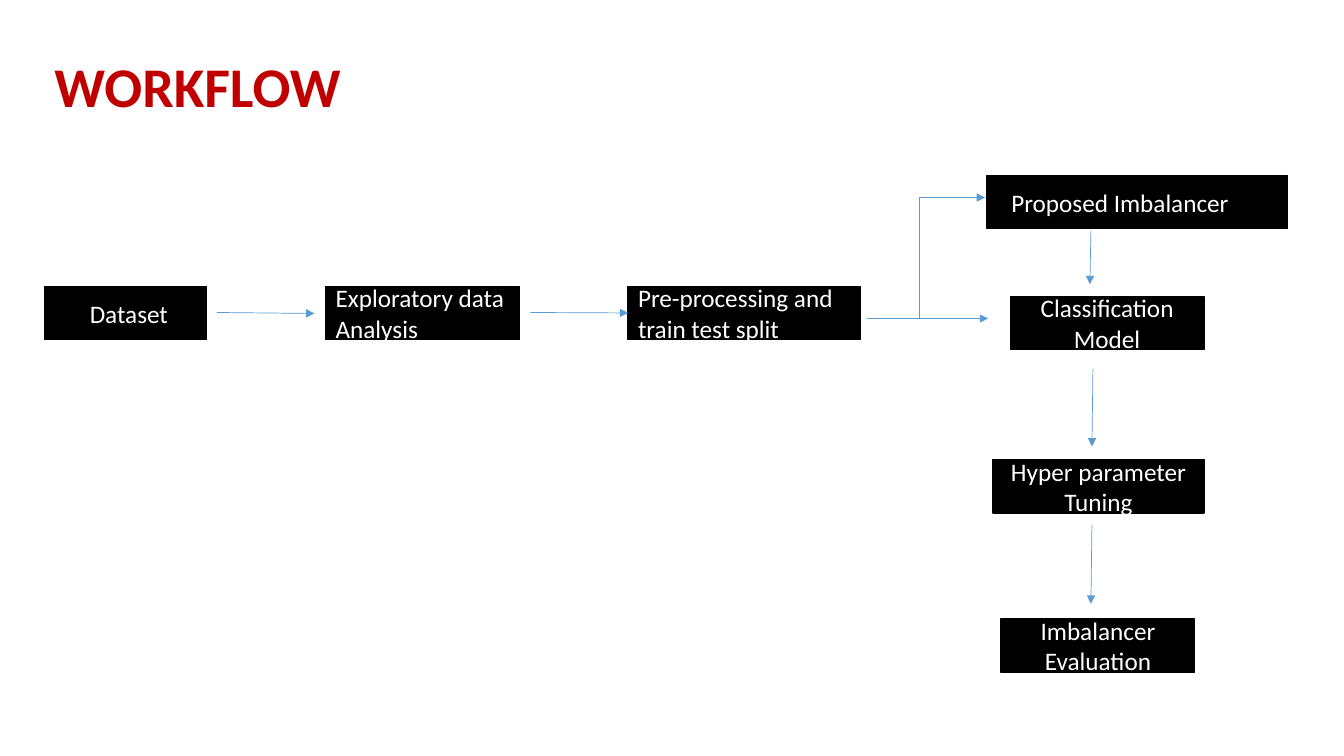
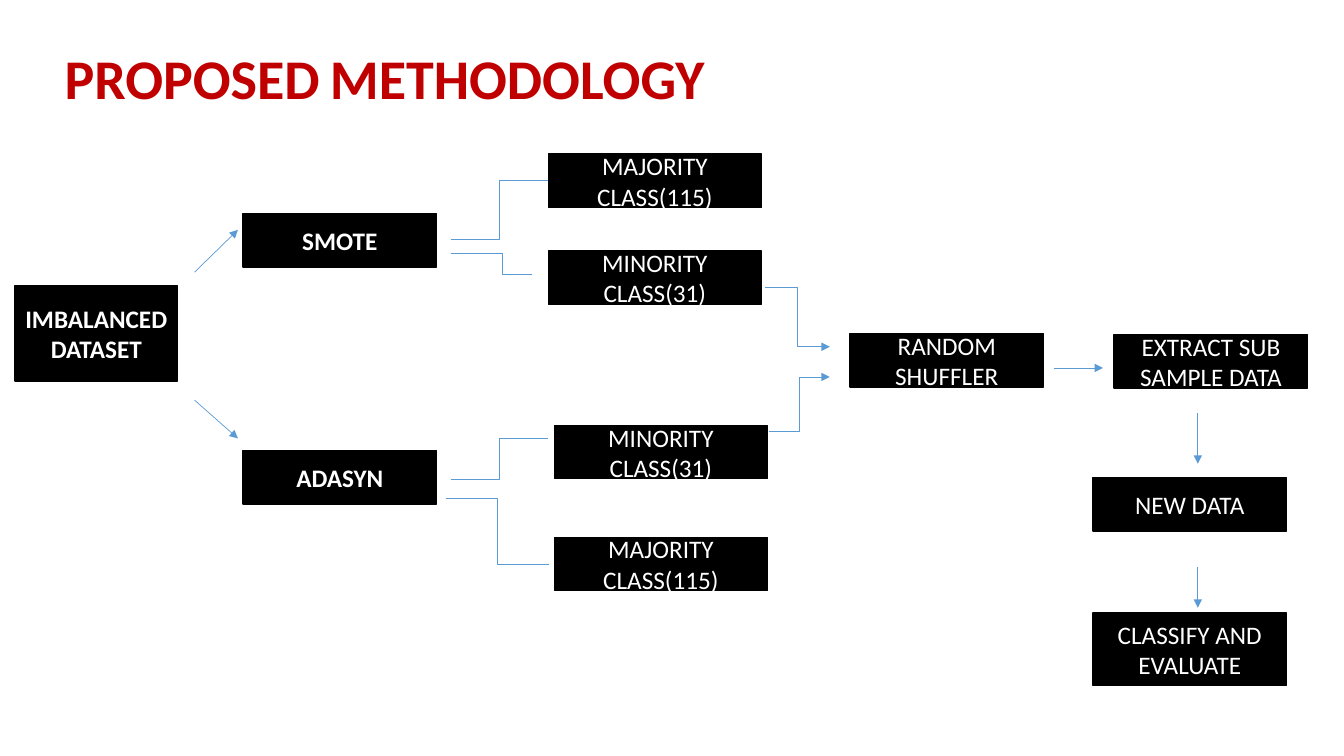
import pptx
import pptx.util
import pptx.dml.color
import pptx.enum.shapes
import pptx.enum.text
import pptx.oxml
import pptx.oxml.ns
from dataclasses import dataclass

Inches = pptx.util.Inches
Pt = pptx.util.Pt
ALIGN = pptx.enum.text.PP_ALIGN
ANCHOR = pptx.enum.text.MSO_ANCHOR
KIND = pptx.enum.shapes.MSO_CONNECTOR


@dataclass(frozen=True)
class Theme:
    font: str = "Calibri"
    title: str = "C00000"
    box: str = "000000"
    text: str = "FFFFFF"
    arrow: str = "5B9BD5"
    head: int = 40
    gap: int = 32
    body: int = 18
    edge: float = 1
    thin: float = 0.5
    wide: float = 1.92
    high: float = 0.53


THEME = Theme()
W, H = THEME.wide, THEME.high
ROW = 2.84
LEFT = {"align": ALIGN.LEFT}
BOLD = {"bold": True}

FLOW = {
    "title": (0.44, 0.46, [("WORKFLOW", THEME.head)]),
    "boxes": {
        "data": ("Dataset", 0.44, ROW, 1.61, H, {**LEFT, "pad": 0.45}),
        "explore": ("Exploratory data Analysis", 3.23, ROW, W, H, LEFT),
        "split": ("Pre-processing and\ntrain test split", 6.23, ROW, 2.3, H, LEFT),
        "balance": ("Proposed Imbalancer", 9.79, 1.74, 2.98, H, {**LEFT, "pad": 0.24}),
        "model": ("Classification Model", 10.02, 2.94, W, H, {}),
        "tune": ("Hyper parameter Tuning", 9.85, 4.56, 2.09, H, {}),
        "score": ("Imbalancer Evaluation", 9.93, 6.14, W, H, {}),
    },
    "lines": [
        ((2.15, 3.1), (3.12, 3.11), {}),
        ((5.26, 3.1), (6.23, 3.11), {"join": ("split", 1)}),
        ((8.6, 3.16), (9.8, 3.16), {}),
        ((9.12, 3.16), (9.77, 1.96), {"bend": 0}),
        ((10.82, 2.29), (10.81, 2.82), {}),
        ((10.84, 3.66), (10.83, 4.43), {}),
        ((10.83, 5.21), (10.82, 5.99), {}),
    ],
}

METHOD = {
    "title": (0.54, 0.38, [("PROPOSED", THEME.head), (" ", THEME.gap),
                           ("METHODOLOGY", THEME.head)]),
    "boxes": {
        "data": ("IMBALANCED\nDATASET", 0.15, 2.83, 1.61, 0.95, {**BOLD, "pad": 0}),
        "smote": ("SMOTE", 2.41, 2.12, W, H, BOLD),
        "adasyn": ("ADASYN", 2.41, 4.47, W, H, BOLD),
        "major": ("MAJORITY CLASS(115)", 5.44, 1.53, 2.11, H, {}),
        "minor": ("MINORITY CLASS(31)", 5.44, 2.49, 2.11, H, {}),
        "minor2": ("MINORITY CLASS(31)", 5.5, 4.22, 2.11, H, {}),
        "major2": ("MAJORITY CLASS(115)", 5.5, 5.33, 2.11, H, {}),
        "shuffle": ("RANDOM SHUFFLER", 8.43, 3.31, W, H, {}),
        "sample": ("EXTRACT SUB SAMPLE DATA", 11.05, 3.32, W, H, {}),
        "fresh": ("NEW DATA", 10.84, 4.74, W, H, {}),
        "score": ("CLASSIFY AND EVALUATE", 10.84, 6.08, W, 0.72, {}),
    },
    "lines": [
        ((1.93, 2.7), (2.36, 2.28), {}),
        ((1.93, 3.97), (2.36, 4.35), {}),
        ((4.47, 2.38), (5.44, 1.8), {"bend": 0.5, "arrow": False, "join": ("major", 1)}),
        ((4.47, 2.51), (5.28, 2.72), {"bend": 0.63, "arrow": False}),
        ((4.47, 4.76), (5.44, 4.35), {"bend": 0.5, "arrow": False}),
        ((4.42, 4.94), (5.44, 5.6), {"bend": 0.5, "arrow": False}),
        ((7.59, 2.85), (8.23, 3.44), {"bend": 0.5}),
        ((7.63, 4.28), (8.23, 3.74), {"bend": 0.5}),
        ((10.45, 3.65), (10.94, 3.65), {}),
        ((11.88, 4.1), (11.88, 4.6), {}),
        ((11.88, 5.63), (11.88, 6.03), {}),
    ],
}


def color(code):
    return pptx.dml.color.RGBColor.from_string(code)


def add_run(para, text, size, code, bold):
    run = para.add_run()
    run.text = text
    run.font.name = THEME.font
    run.font.size = Pt(size)
    run.font.bold = bold
    run.font.color.rgb = color(code)


def add_node(parent, tag, **attrs):
    node = pptx.oxml.parse_xml(f"<{tag} {pptx.oxml.ns.nsdecls('a')}/>")
    for key, value in attrs.items():
        node.set(key, value)
    parent.append(node)


def set_title(slide, left, top, runs):
    title = slide.shapes.title
    title.left, title.top = Inches(left), Inches(top)
    title.width, title.height = Inches(12.24), Inches(0.77)
    frame = title.text_frame
    frame.word_wrap = True
    frame.auto_size = pptx.enum.text.MSO_AUTO_SIZE.NONE
    frame.vertical_anchor = ANCHOR.TOP
    para = frame.paragraphs[0]
    para.alignment = ALIGN.LEFT
    for text, size in runs:
        add_run(para, text, size, THEME.title, True)


def add_box(slide, text, left, top, wide, high, style):
    box = slide.shapes.add_shape(
        pptx.enum.shapes.MSO_SHAPE.RECTANGLE,
        Inches(left), Inches(top), Inches(wide), Inches(high))
    box.shadow.inherit = False
    box.fill.solid()
    box.fill.fore_color.rgb = color(THEME.box)
    box.line.color.rgb = color(THEME.box)
    box.line.width = Pt(THEME.edge)
    frame = box.text_frame
    frame.word_wrap = True
    frame.vertical_anchor = ANCHOR.MIDDLE
    pad = style.get("pad", 0.1)
    frame.margin_left = Inches(pad)
    frame.margin_right = Inches(min(pad, 0.1))
    for i, line in enumerate(text.split("\n")):
        para = frame.add_paragraph() if i else frame.paragraphs[0]
        para.alignment = style.get("align", ALIGN.CENTER)
        add_run(para, line, THEME.body, THEME.text, style.get("bold", False))
    return box


def add_line(slide, start, end, boxes, bend=None, arrow=True, join=None):
    kind = KIND.STRAIGHT if bend is None else KIND.ELBOW
    line = slide.shapes.add_connector(kind, *map(Inches, start + end))
    line.line.color.rgb = color(THEME.arrow)
    line.line.width = Pt(THEME.thin)
    if join:
        name, side = join
        line.end_connect(boxes[name], side)
    props = line._element.spPr
    if bend is not None:
        guides = props.find(".//" + pptx.oxml.ns.qn("a:avLst"))
        add_node(guides, "a:gd", name="adj1", fmla=f"val {round(bend * 100000)}")
    if arrow:
        add_node(line.line._get_or_add_ln(), "a:tailEnd", type="triangle")
    add_node(props, "a:effectLst")


def add_page(deck, page):
    slide = deck.slides.add_slide(deck.slide_layouts.get_by_name("Title Only"))
    set_title(slide, *page["title"])
    boxes = {name: add_box(slide, *spot) for name, spot in page["boxes"].items()}
    for start, end, style in page["lines"]:
        add_line(slide, start, end, boxes, **style)


def main():
    deck = pptx.Presentation()
    deck.slide_width, deck.slide_height = Inches(13.33), Inches(7.5)
    for page in (FLOW, METHOD):
        add_page(deck, page)
    deck.save("out.pptx")


if __name__ == "__main__":
    main()
